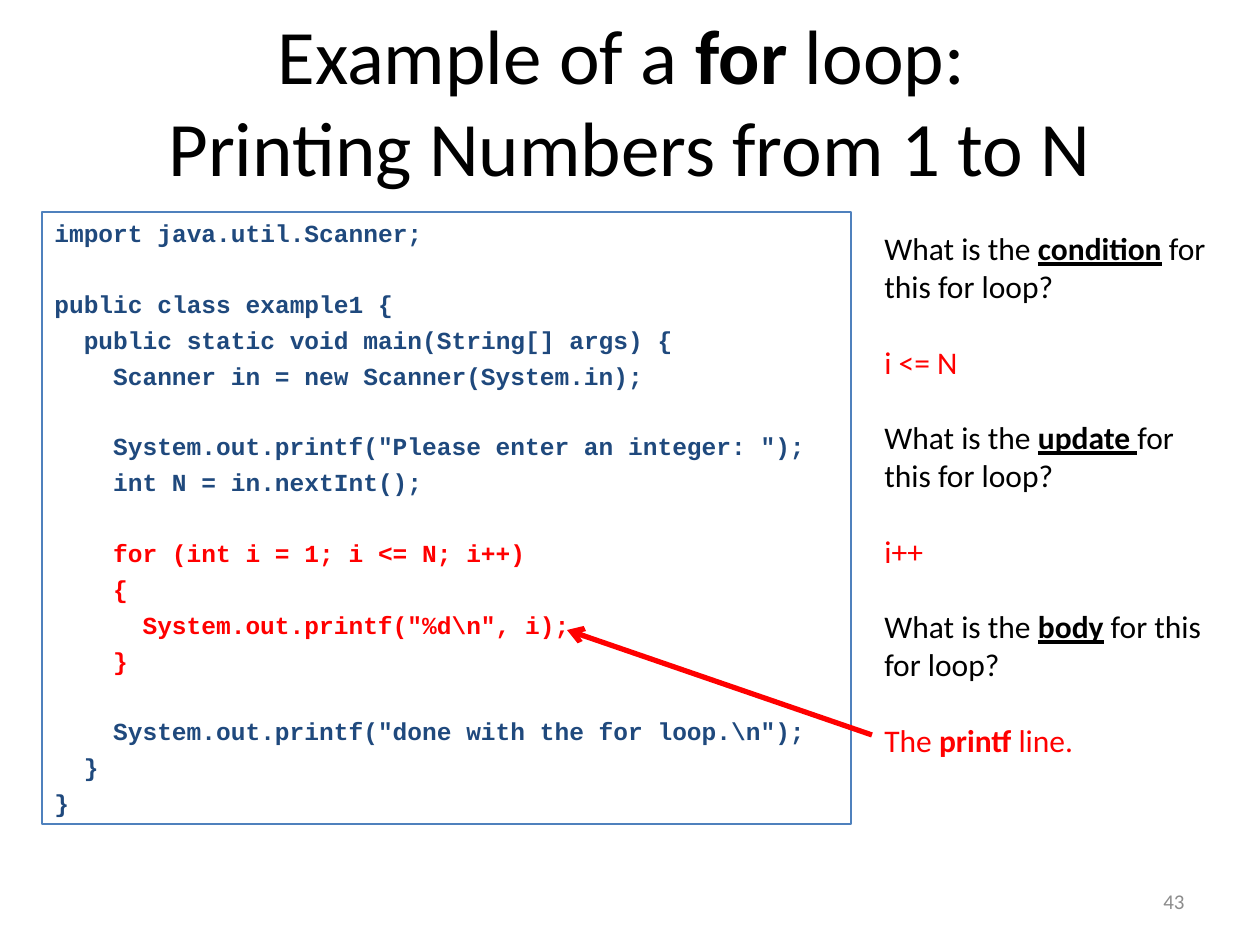
from lxml import etree
from pptx import Presentation
from pptx.dml.color import RGBColor
from pptx.enum.shapes import MSO_CONNECTOR, MSO_SHAPE
from pptx.enum.text import MSO_ANCHOR, MSO_AUTO_SIZE, PP_ALIGN
from pptx.oxml.ns import qn
from pptx.util import Pt

STRAIGHT = MSO_CONNECTOR.STRAIGHT
RECTANGLE = MSO_SHAPE.RECTANGLE
TOP, MIDDLE = MSO_ANCHOR.TOP, MSO_ANCHOR.MIDDLE
LEFT, CENTER, RIGHT = PP_ALIGN.LEFT, PP_ALIGN.CENTER, PP_ALIGN.RIGHT
NO_FIT = MSO_AUTO_SIZE.NONE

EMU_PER_PX = 914400 / 126
BLACK, RED, NAVY, BLUE, GRAY = "000000", "FF0000", "1F497D", "4F81BD", "8C8C8C"
BODY_FONT, CODE_FONT = "Calibri", "Courier New"
TITLE_ONLY = 5

CODE_BLOCKS = [
    (NAVY, [(0, "import java.util.Scanner;")]),
    (NAVY, [
        (0, "public class example1 {"),
        (1, "public static void main(String[] args) {"),
        (2, "Scanner in = new Scanner(System.in);"),
    ]),
    (NAVY, [
        (2, 'System.out.printf("Please enter an integer: ");'),
        (2, "int N = in.nextInt();"),
    ]),
    (RED, [
        (2, "for (int i = 1; i <= N; i++)"),
        (2, "{"),
        (3, 'System.out.printf("%d\\n", i);'),
        (2, "}"),
    ]),
    (NAVY, [
        (2, 'System.out.printf("done with the for loop.\\n");'),
        (1, "}"),
        (0, "}"),
    ]),
]
QUESTIONS = [
    ("condition", " for this for loop?", [("i <= N", False)]),
    ("update ", "for this for loop?", [("i++", False)]),
    ("body", " for this for loop?",
     [("The ", False), ("printf ", True), ("line.", False)]),
]


def px(length):
    """Turn pixels into EMU."""
    return round(length * EMU_PER_PX)


def color(value):
    """Turn a hex string into a colour."""
    return RGBColor.from_string(value)


def add_run(paragraph, text, size, value, font=BODY_FONT, bold=False, underline=False):
    """Append one formatted run to a paragraph."""
    run = paragraph.add_run()
    run.text = text
    run.font.name = font
    run.font.size = Pt(size)
    run.font.bold = bold
    run.font.underline = underline
    run.font.color.rgb = color(value)


def next_paragraph(frame):
    """Return the unused first paragraph of a frame, or a new one."""
    first = frame.paragraphs[0]
    return frame.add_paragraph() if first.runs else first


def prepare_frame(shape, anchor=TOP):
    """Make a shape's text wrap in a fixed box and return its frame."""
    frame = shape.text_frame
    frame.word_wrap = True
    frame.auto_size = NO_FIT
    frame.vertical_anchor = anchor
    return frame


def add_title(slide, left, top, width, height):
    """Fill the title placeholder with its two lines."""
    title = slide.shapes.title
    title.left, title.top = px(left), px(top)
    title.width, title.height = px(width), px(height)
    paragraph = prepare_frame(title, MIDDLE).paragraphs[0]
    paragraph.alignment = CENTER
    add_run(paragraph, "Example of a ", 44, BLACK)
    add_run(paragraph, "for ", 44, BLACK, bold=True)
    add_run(paragraph, "loop: ", 44, BLACK)
    paragraph.add_line_break()
    add_run(paragraph, "Printing Numbers from 1 to N", 44, BLACK)


def add_code(slide, left, top, width, height):
    """Draw the outlined listing, with a gap before each block."""
    shape = slide.shapes.add_shape(RECTANGLE, px(left), px(top), px(width), px(height))
    shape.shadow.inherit = False
    shape.fill.background()
    shape.line.color.rgb = color(BLUE)
    shape.line.width = Pt(0.75)
    frame = prepare_frame(shape)
    for block_index, (value, lines) in enumerate(CODE_BLOCKS):
        for line_index, (level, text) in enumerate(lines):
            paragraph = next_paragraph(frame)
            paragraph.alignment = LEFT
            starts_block = block_index > 0 and line_index == 0
            paragraph.space_before = Pt(23.4 if starts_block else 3.8)
            properties = paragraph._p.get_or_add_pPr()
            properties.set("marL", str(Pt(16.8 * level)))
            properties.set("indent", "0")
            add_run(paragraph, text, 14, value, CODE_FONT, bold=True)


def add_questions(slide, left, top, width, height):
    """Write each question about the loop followed by its answer."""
    box = slide.shapes.add_textbox(px(left), px(top), px(width), px(height))
    frame = prepare_frame(box)
    for index, (term, ending, answer) in enumerate(QUESTIONS):
        paragraph = next_paragraph(frame)
        paragraph.space_before = Pt(21.6 if index else 0)
        add_run(paragraph, "What is the ", 18, BLACK)
        add_run(paragraph, term, 18, BLACK, bold=True, underline=True)
        add_run(paragraph, ending, 18, BLACK)
        paragraph = next_paragraph(frame)
        paragraph.space_before = Pt(21.6)
        for text, bold in answer:
            add_run(paragraph, text, 18, RED, bold=bold)


def add_arrow(slide, start_x, start_y, end_x, end_y):
    """Point from the last answer to the loop body."""
    arrow = slide.shapes.add_connector(
        STRAIGHT, px(start_x), px(start_y), px(end_x), px(end_y))
    arrow.line.color.rgb = color(RED)
    arrow.line.width = Pt(3)
    line = arrow.line._get_or_add_ln()
    etree.SubElement(line, qn("a:tailEnd"), type="arrow")
    etree.SubElement(arrow._element.spPr, qn("a:effectLst"))


def add_page_number(slide, left, top, width, height):
    """Write the page number at the lower right."""
    box = slide.shapes.add_textbox(px(left), px(top), px(width), px(height))
    paragraph = prepare_frame(box, MIDDLE).paragraphs[0]
    paragraph.alignment = RIGHT
    add_run(paragraph, "43", 12, GRAY)


def main():
    """Build and save the slide."""
    presentation = Presentation()
    presentation.slide_width, presentation.slide_height = px(1260), px(945)
    slide = presentation.slides.add_slide(presentation.slide_layouts[TITLE_ONLY])
    add_page_number(slide, 903, 876, 294, 50)
    add_title(slide, 63, 42, 1134, 116)
    add_code(slide, 42, 212, 809, 612)
    add_questions(slide, 872, 223, 368, 585)
    add_arrow(slide, 872, 735, 567, 630)
    presentation.save("out.pptx")


if __name__ == "__main__":
    main()
